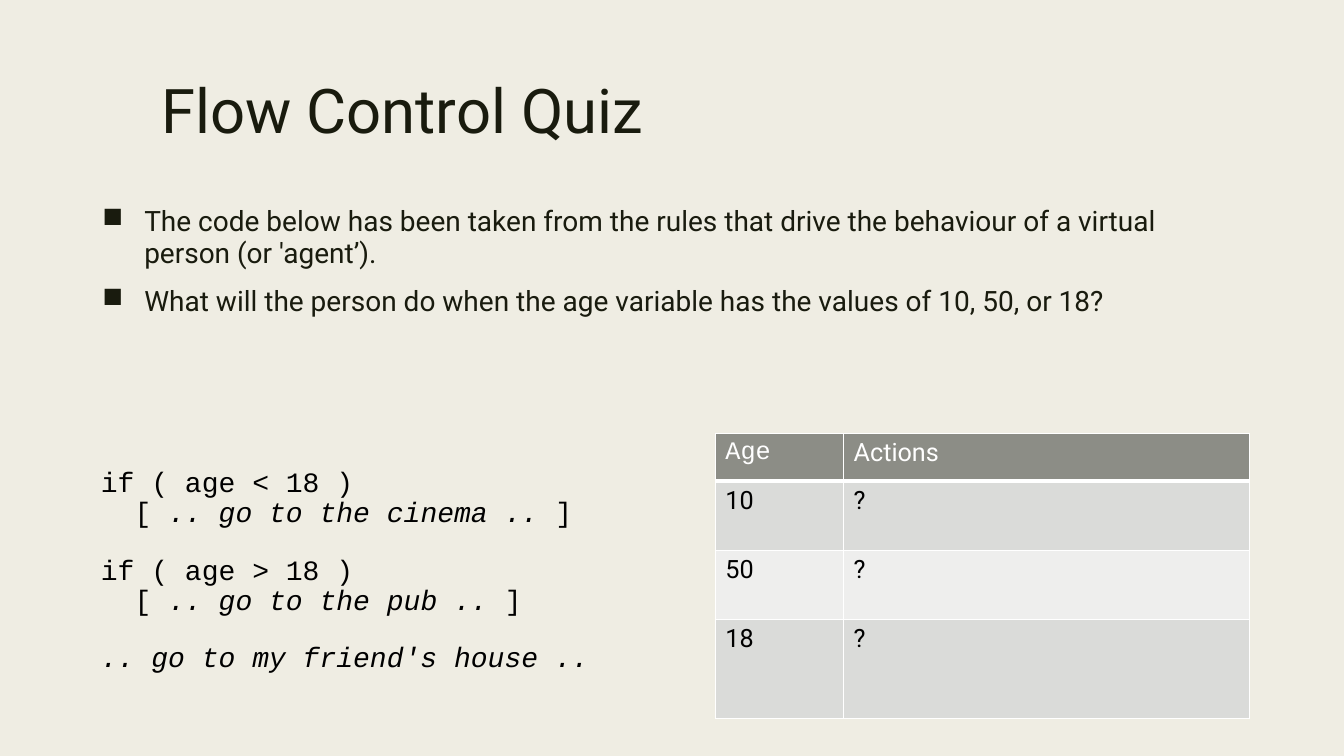
import pptx
import pptx.dml.color
import pptx.oxml
import pptx.oxml.ns
import pptx.util

Pt = pptx.util.Pt

COLORS = {
    "background": "EFEDE3", "ink": "191B0E", "black": "000000", "white": "FFFFFF",
    "header": "8C8D86", "band_dark": "DADBD9", "band_light": "EEEEED",
}
TITLE = {"name": "Roboto", "size": Pt(44), "color": "ink"}
BODY = {"name": "Roboto", "size": Pt(20), "color": "ink"}
CODE = {"name": "Courier New", "size": Pt(20), "color": "black"}
CELL = {"name": "Roboto", "size": Pt(18), "color": "black"}

QUESTIONS = [
    "The code below has been taken from the rules that drive the behaviour of a virtual "
    "person (or 'agent’).",
    "What will the person do when the age variable has the values of 10, 50, or 18?",
]
# Each line of code is a list of (text, italic) parts
RULES = [
    [("if ( age < 18 )", False)],
    [("  [ ", False), (".. go to the cinema ..", True), (" ]", False)],
    [],
    [("if ( age > 18 ) ", False)],
    [("  [ ", False), (".. go to the pub ..", True), (" ]", False)],
    [],
    [(".. go to my friend's house ..", True)],
]
ANSWERS = [("Age", "Actions"), ("10", "?"), ("50", "?"), ("18", "?")]


def rgb(color):
    return pptx.dml.color.RGBColor.from_string(COLORS[color])


def add_text(paragraph, text, style, **changes):
    run = paragraph.add_run()
    run.text = text
    for key, value in {**style, **changes}.items():
        if key == "color":
            run.font.color.rgb = rgb(value)
        else:
            setattr(run.font, key, value)


def add_frame(slide, box):
    frame = slide.shapes.add_textbox(*map(Pt, box)).text_frame
    frame.word_wrap = True
    return frame


def format_paragraph(paragraph, **values):
    for key, value in values.items():
        setattr(paragraph, key, value)


def add_bullet(paragraph, indent):
    properties = paragraph._p.get_or_add_pPr()
    properties.set("marL", str(Pt(indent)))
    properties.set("indent", str(-Pt(indent)))
    bullet = pptx.oxml.parse_xml(
        f'<a:buChar {pptx.oxml.ns.nsdecls("a")} char="■"/>')
    properties.append(bullet)


def add_border(cell, side, width):
    cell._tc.get_or_add_tcPr().append(pptx.oxml.parse_xml(
        f'<a:{side} {pptx.oxml.ns.nsdecls("a")} w="{Pt(width)}"><a:solidFill>'
        f'<a:srgbClr val="{COLORS["white"]}"/></a:solidFill></a:{side}>'))


def build_title(slide, box):
    heading = add_frame(slide, box).paragraphs[0]
    format_paragraph(heading, line_spacing=0.89)
    add_text(heading, "Flow Control Quiz", TITLE)


def build_questions(slide, box):
    frame = add_frame(slide, box)
    for index, question in enumerate(QUESTIONS):
        paragraph = frame.add_paragraph() if index else frame.paragraphs[0]
        format_paragraph(paragraph, line_spacing=0.94,
                         space_before=Pt(10), space_after=Pt(2))
        add_bullet(paragraph, 30)
        add_text(paragraph, question, BODY)


def build_rules(slide, box):
    code = add_frame(slide, box).paragraphs[0]
    format_paragraph(code, line_spacing=0.9, space_before=Pt(10))
    for index, line in enumerate(RULES):
        if index:
            code.add_line_break()
        for text, italic in line:
            add_text(code, text, CODE, italic=italic)


def build_answers(slide, box):
    table = slide.shapes.add_table(len(ANSWERS), 2, *map(Pt, box)).table
    for column, share in zip(table.columns, (0.24, 0.76)):
        column.width = Pt(box[2] * share)
    for row, height in zip(table.rows, (34.3, 49.4, 49.4, 70.9)):
        row.height = Pt(height)
    for r, texts in enumerate(ANSWERS):
        band = "header" if r == 0 else "band_dark" if r % 2 else "band_light"
        for c, text in enumerate(texts):
            cell = table.cell(r, c)
            for side in ("lnL", "lnR", "lnT", "lnB"):
                add_border(cell, side, 3 if r == 0 and side == "lnB" else 1)
            cell.fill.solid()
            cell.fill.fore_color.rgb = rgb(band)
            changes = {} if r else {"color": "white"}
            if text == "Age":
                changes["name"] = "Courier New"
            add_text(cell.text_frame.paragraphs[0], text, CELL, **changes)


def main():
    deck = pptx.Presentation()
    deck.slide_width, deck.slide_height = Pt(960), Pt(540)
    slide = deck.slides.add_slide(deck.slide_layouts[6])
    slide.background.fill.solid()
    slide.background.fill.fore_color.rgb = rgb("background")

    # Heading and questions
    build_title(slide, (108, 54, 756, 117))
    build_questions(slide, (66, 144, 828, 155))
    # Code beside the answer table
    build_answers(slide, (511, 309.5, 381.5, 204))
    build_rules(slide, (65, 331, 408, 145))
    deck.save("out.pptx")


if __name__ == "__main__":
    main()
